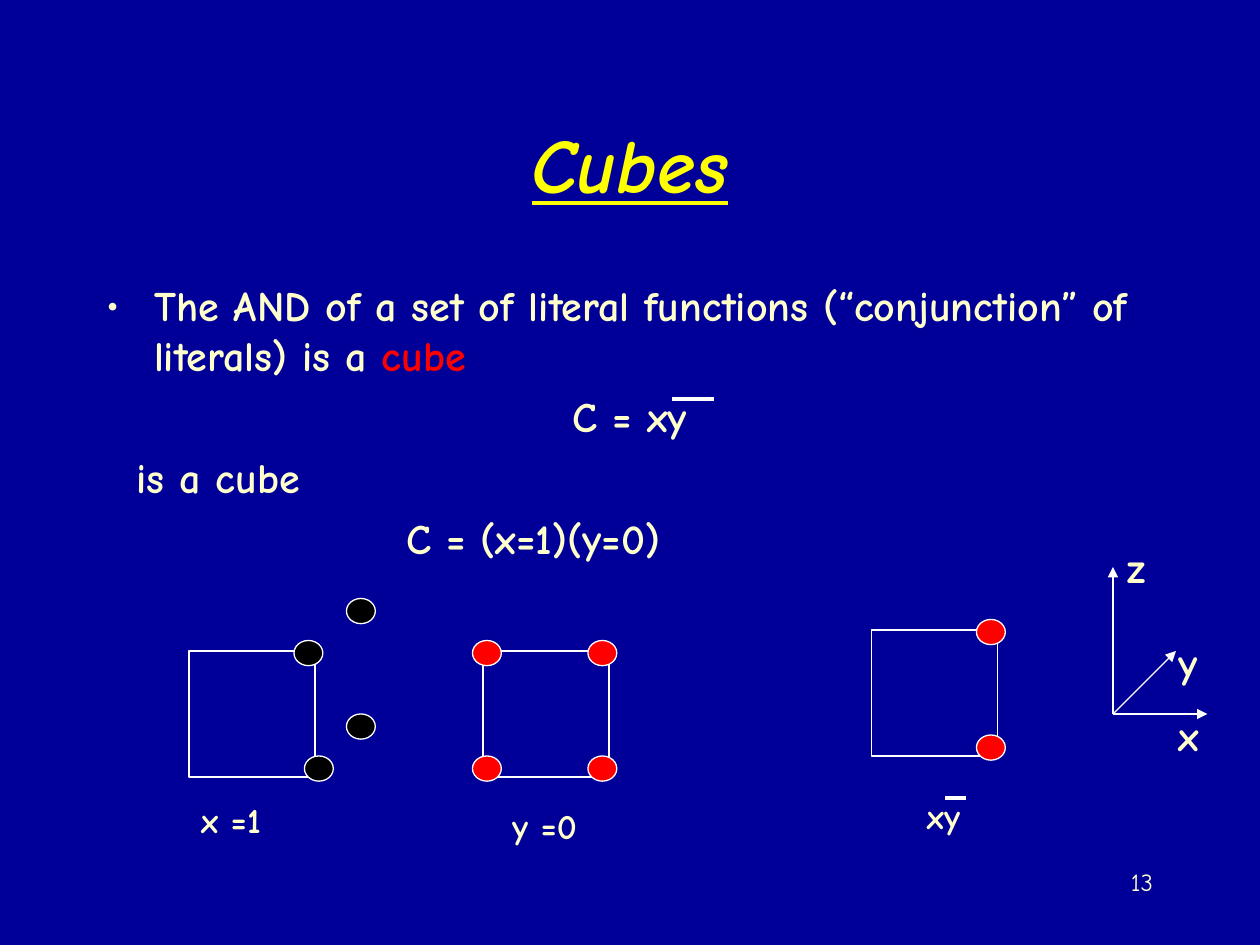
from lxml import etree
from pptx import Presentation
from pptx.dml.color import RGBColor
from pptx.enum.shapes import MSO_CONNECTOR, MSO_SHAPE
from pptx.enum.text import MSO_ANCHOR, PP_ALIGN
from pptx.oxml.ns import qn
from pptx.util import Pt

LEFT, CENTER, RIGHT = PP_ALIGN.LEFT, PP_ALIGN.CENTER, PP_ALIGN.RIGHT
TOP, MIDDLE = MSO_ANCHOR.TOP, MSO_ANCHOR.MIDDLE
RECT, OVAL = MSO_SHAPE.RECTANGLE, MSO_SHAPE.OVAL
STRAIGHT = MSO_CONNECTOR.STRAIGHT
FONT = "Comic Neue"
COLORS = {name: RGBColor.from_string(value) for name, value in {
    "background": "000099", "title": "FFFF00", "text": "FFFFCC",
    "line": "FFFFFF", "red": "FF0000", "black": "000000"}.items()}


def add_text_box(box, anchor=TOP):
    tf = s.shapes.add_textbox(*map(Pt, box)).text_frame
    tf.word_wrap = True
    tf.vertical_anchor = anchor
    return tf


def add_run(p, text, size, color="text", bold=True):
    r = p.add_run()
    r.text = text
    r.font.name = FONT
    r.font.size = Pt(size)
    r.font.bold = bold
    r.font.color.rgb = COLORS[color]
    return r


prs = Presentation()
prs.slide_width, prs.slide_height = Pt(720), Pt(540)
s = prs.slides.add_slide(prs.slide_layouts[6])
s.background.fill.solid()
s.background.fill.fore_color.rgb = COLORS["background"]

p = add_text_box((54, 48, 612, 90), MIDDLE).paragraphs[0]
p.alignment = CENTER
r = add_run(p, "Cubes", 44, "title")
r.font.italic = True
r.font.underline = True

body = [
    (LEFT, 27, -27, [("The AND of a set of literal functions (“conjunction” of literals) is a ", "text"),
                     ("cube", "red")]),
    (CENTER, 0, 0, [("C = xy", "text")]),
    (LEFT, 17, 0, [("is a cube", "text")]),
    (LEFT, 171, 0, [("C = (x=1)(y=0)", "text")]),
]
tf = add_text_box((54, 156, 612, 324))
for i, (align, margin, indent, runs) in enumerate(body):
    p = tf.add_paragraph() if i else tf.paragraphs[0]
    p.alignment = align
    p.space_before = Pt(6)
    pPr = p._p.get_or_add_pPr()
    pPr.set("marL", str(Pt(margin)))
    pPr.set("indent", str(Pt(indent)))
    if indent:
        color = etree.SubElement(pPr, qn("a:buClr"))
        etree.SubElement(color, qn("a:srgbClr")).set("val", str(COLORS["text"]))
        etree.SubElement(pPr, qn("a:buFont")).set("typeface", FONT)
        etree.SubElement(pPr, qn("a:buChar")).set("char", "•")
    for text, color in runs:
        add_run(p, text, 24, color)

squares = [(RECT, x, y, 72, 72, None) for x, y in [(108, 372), (276, 372), (498, 360)]]
dots = [(OVAL, x, y, 16.5, 14.4, color) for color, points in [
    ("black", [(198, 342), (168, 366), (174, 432), (198, 408)]),
    ("red", [(270, 366), (270, 432), (336, 432), (336, 366), (558, 420), (558, 354)]),
] for x, y in points]
for kind, x, y, w, h, color in squares + dots:
    sp = s.shapes.add_shape(kind, Pt(x), Pt(y), Pt(w), Pt(h))
    sp.shadow.inherit = False
    sp.line.color.rgb = COLORS["line"]
    sp.line.width = Pt(0.74)
    if color:
        sp.fill.solid()
        sp.fill.fore_color.rgb = COLORS[color]
    else:
        sp.fill.background()

overbars = [(384, 228, 408, 228, 2.24, False), (540, 456, 552, 456, 2.24, False)]
axes = [(636, 408, x, y, 0.74, True) for x, y in [(636, 324), (690, 408), (672, 372)]]
for x1, y1, x2, y2, width, arrow in overbars + axes:
    line = s.shapes.add_connector(STRAIGHT, Pt(x1), Pt(y1), Pt(x2), Pt(y2))
    line.line.color.rgb = COLORS["line"]
    line.line.width = Pt(width)
    if arrow:
        etree.SubElement(line.line._get_or_add_ln(), qn("a:tailEnd")).set("type", "triangle")
    etree.SubElement(line._element.spPr, qn("a:effectLst"))

label_width = 72
labels = [
    ("x =1", 20, 132, 452.2, 31.7),
    ("y =0", 20, 311.2, 456, 31.7),
    ("xy", 20, 539.2, 450, 31.7),
    ("z", 24, 649.4, 306, 36),
    ("y", 24, 679.2, 360, 36),
    ("x", 24, 679.6, 402, 36),
]
for text, size, center, top, height in labels:
    p = add_text_box((center - label_width / 2, top, label_width, height), MIDDLE).paragraphs[0]
    p.alignment = CENTER
    add_run(p, text, size)

p = add_text_box((516, 492, 150, 36)).paragraphs[0]
p.alignment = RIGHT
add_run(p, "13", 14, bold=False)

prs.save("out.pptx")
